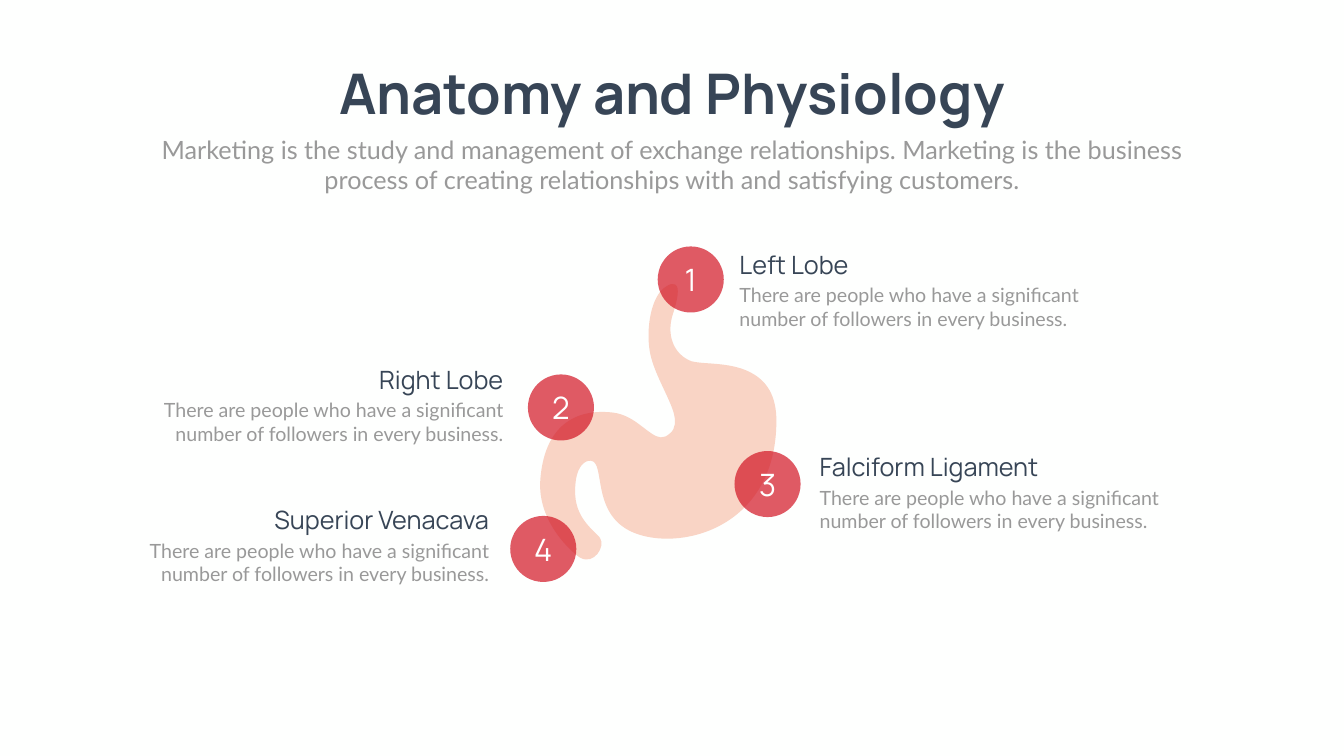
from dataclasses import dataclass

import pptx
import pptx.dml.color
import pptx.enum.shapes
import pptx.enum.text
import pptx.oxml
import pptx.oxml.ns
import pptx.util
from lxml import etree
from pptx.util import Cm

ALIGN = pptx.enum.text.PP_ALIGN
ANCHOR = pptx.enum.text.MSO_ANCHOR

COLORS = {
    "background": "FEFFFE",
    "heading": "374556",
    "detail": "999999",
    "organ": "F9D4C5",
    "marker": "D21424",
    "number": "FFFFFF",
}

FORMATS = {
    "title": {"name": "Manrope", "size": pptx.util.Pt(80), "bold": True},
    "intro": {"name": "Lato", "size": pptx.util.Pt(36), "bold": False},
    "heading": {"name": "Manrope", "size": pptx.util.Pt(36), "bold": False},
    "detail": {"name": "Lato", "size": pptx.util.Pt(28), "bold": False},
    "number": {"name": "Manrope", "size": pptx.util.Pt(44), "bold": False},
}

MARKER_SIZE = 3.33
HEADING_WIDTH, HEADING_HEIGHT = 13.59, 1.8
DETAIL_WIDTH, DETAIL_HEIGHT = 19.25, 2.64
DETAIL_OFFSET = 1.73
DETAIL = "There are people who have a significant number of followers in every business."


@dataclass(frozen=True)
class Callout:
    number: int
    heading: str
    marker_left: float
    marker_top: float
    text_edge: float
    text_top: float
    on_left: bool


CALLOUTS = [
    Callout(1, "Left Lobe", 33.14, 12.42, 37.01, 12.42, False),
    Callout(2, "Right Lobe", 26.6, 18.87, 25.61, 18.22, True),
    Callout(3, "Falciform Ligament", 37.01, 22.73, 41.05, 22.61, False),
    Callout(4, "Superior Venacava", 25.71, 26, 24.89, 25.3, True),
]

STOMACH_START = (39.12, 21.26)
STOMACH_CURVES = [
    ((39.14, 19.89), (38.58, 19.18), (37.87, 18.8)),
    ((36.91, 18.26), (35.61, 18.36), (35, 18.24)),
    ((34.95, 18.24), (34.9, 18.21), (34.85, 18.21)),
    ((33.96, 17.88), (33.53, 16.89), (33.93, 15.75)),
    ((34.24, 14.78), (34.19, 14.4), (34.01, 14.33)),
    ((33.88, 14.27), (33.73, 14.33), (33.58, 14.43)),
    ((32.82, 14.86), (32.54, 16.51), (32.74, 17.7)),
    ((32.92, 18.75), (33.66, 19.89), (33.93, 20.75)),
    ((34.06, 21.21), (34.06, 21.59), (33.76, 21.84)),
    ((33.43, 22.15), (33.15, 22.07), (32.82, 21.84)),
    ((32.31, 21.51), (31.72, 20.85), (30.76, 20.78)),
    ((28.75, 20.6), (27.43, 21.69), (27.23, 24.13)),
    ((27.03, 26.34), (28.93, 27.94), (29.26, 28.12)),
    ((29.92, 28.47), (30.53, 27.56), (30.23, 27.1)),
    ((29.82, 26.64), (28.96, 26.06), (28.98, 24.74)),
    ((28.98, 23.47), (29.49, 23.19), (29.77, 23.22)),
    ((30.56, 23.29), (29.69, 26.09), (32.13, 26.92)),
    ((34.54, 27.74), (39.09, 26.47), STOMACH_START),
]


def rgb(role: str) -> pptx.dml.color.RGBColor:
    return pptx.dml.color.RGBColor.from_string(COLORS[role])


def fill_plain(shape, role: str) -> None:
    shape.shadow.inherit = False
    shape.fill.solid()
    shape.fill.fore_color.rgb = rgb(role)
    shape.line.fill.background()


def write(shape, text: str, style: str, color: str, align, anchor=ANCHOR.TOP) -> None:
    frame = shape.text_frame
    frame.word_wrap = style != "title"
    frame.auto_size = pptx.enum.text.MSO_AUTO_SIZE.NONE
    frame.vertical_anchor = anchor
    paragraph = frame.paragraphs[0]
    paragraph.alignment = align
    paragraph.space_before = pptx.util.Pt(0)
    paragraph.line_spacing = 1.0
    run = paragraph.add_run()
    run.text = text
    for attribute, value in FORMATS[style].items():
        setattr(run.font, attribute, value)
    run.font.color.rgb = rgb(color)


def place(shape, left: float, top: float, width: float, height: float) -> None:
    box = {"left": left, "top": top, "width": width, "height": height}
    for attribute, value in box.items():
        setattr(shape, attribute, Cm(value))


def draw_stomach(slide) -> None:
    anchors = [(Cm(x), Cm(y)) for *_, (x, y) in STOMACH_CURVES]
    builder = slide.shapes.build_freeform(*anchors[-1])
    builder.add_line_segments(anchors, close=True)
    stomach = builder.convert_to_shape()
    fill_plain(stomach, "organ")
    qn = pptx.oxml.ns.qn
    segments = list(stomach.element.iter(qn("a:lnTo")))
    for segment, curve in zip(segments, STOMACH_CURVES):
        bezier = etree.Element(qn("a:cubicBezTo"))
        for x, y in curve:
            point = etree.SubElement(bezier, qn("a:pt"))
            point.set("x", str(Cm(x) - stomach.left))
            point.set("y", str(Cm(y) - stomach.top))
        segment.getparent().replace(segment, bezier)


def draw_marker(slide, callout: Callout) -> None:
    marker = slide.shapes.add_shape(
        pptx.enum.shapes.MSO_SHAPE.OVAL,
        Cm(callout.marker_left), Cm(callout.marker_top), Cm(MARKER_SIZE), Cm(MARKER_SIZE),
    )
    fill_plain(marker, "marker")
    tint = marker.fill._xPr.find(".//" + pptx.oxml.ns.qn("a:srgbClr"))
    tint.append(pptx.oxml.parse_xml(f'<a:alpha {pptx.oxml.ns.nsdecls("a")} val="70000"/>'))
    write(marker, str(callout.number), "number", "number", ALIGN.CENTER, ANCHOR.MIDDLE)


def draw_texts(slide, callout: Callout) -> None:
    align = ALIGN.RIGHT if callout.on_left else ALIGN.LEFT
    lines = [
        (callout.heading, "heading", 0, HEADING_WIDTH, HEADING_HEIGHT),
        (DETAIL, "detail", DETAIL_OFFSET, DETAIL_WIDTH, DETAIL_HEIGHT),
    ]
    for text, style, offset, width, height in lines:
        left = callout.text_edge - (width if callout.on_left else 0)
        top = callout.text_top + offset
        box = slide.shapes.add_textbox(Cm(left), Cm(top), Cm(width), Cm(height))
        write(box, text, style, style, align)


def main() -> None:
    deck = pptx.Presentation()
    deck.slide_width, deck.slide_height = Cm(67.72), Cm(38.1)
    slide = deck.slides.add_slide(deck.slide_layouts[0])
    slide.background.fill.solid()
    slide.background.fill.fore_color.rgb = rgb("background")

    title, intro = slide.placeholders
    place(title, 15.16, 2.84, 37.41, 3.68)
    write(title, "Anatomy and Physiology", "title", "heading", ALIGN.CENTER)
    place(intro, 7.42, 6.63, 52.88, 3.33)
    write(
        intro,
        "Marketing is the study and management of exchange relationships. "
        "Marketing is the business process of creating relationships with "
        "and satisfying customers.",
        "intro", "detail", ALIGN.CENTER,
    )

    draw_stomach(slide)
    for callout in CALLOUTS:
        draw_marker(slide, callout)
    for callout in CALLOUTS:
        draw_texts(slide, callout)
    deck.save("out.pptx")


if __name__ == "__main__":
    main()
